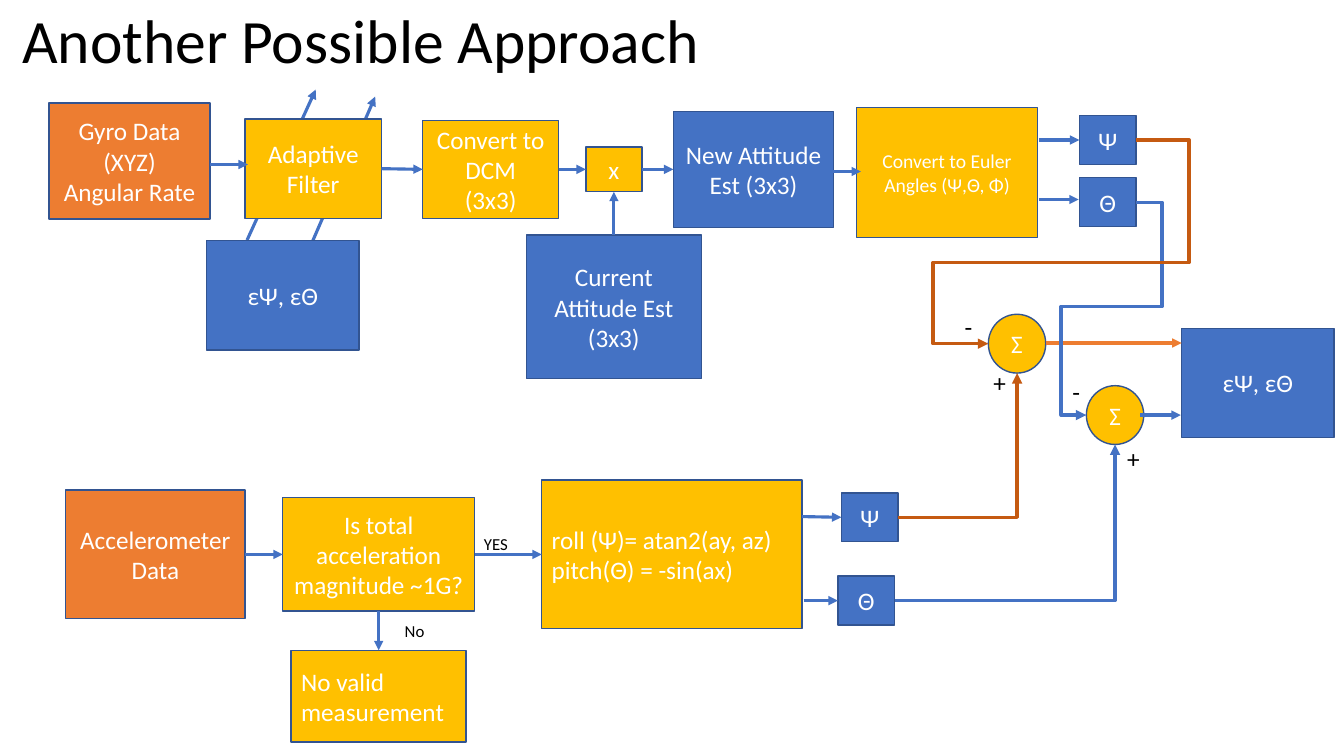
import pptx
import pptx.dml.color
import pptx.enum.shapes
import pptx.enum.text
import pptx.oxml.ns
import pptx.shapes.autoshape
import pptx.util

Pt = pptx.util.Pt
qn = pptx.oxml.ns.qn
RECTANGLE = pptx.enum.shapes.MSO_SHAPE.RECTANGLE
OVAL = pptx.enum.shapes.MSO_SHAPE.OVAL
ALIGN = pptx.enum.text.PP_ALIGN
TOP, LEFT, BOTTOM, RIGHT = range(4)
COLOURS = {
    "blue": "4472C4", "gold": "FFC000", "orange": "ED7D31", "rust": "C55A11",
    "outline": "325491", "white": "FFFFFF", "black": "000000",
}


def rgb(name):
    return pptx.dml.color.RGBColor.from_string(COLOURS[name])


class Diagram:
    FONT = "Calibri"

    def __init__(self, slide):
        self.slide = slide

    def set_text(self, frame, text, size, colour, align):
        frame.word_wrap = True
        frame.text = text
        for paragraph in frame.paragraphs:
            paragraph.alignment = align
            paragraph.font.name = self.FONT
            paragraph.font.size = Pt(size)
            paragraph.font.color.rgb = rgb(colour)

    def title(self, text, left, top, width, height):
        title = self.slide.shapes.title
        title.left, title.top, title.width, title.height = map(Pt, (left, top, width, height))
        self.set_text(title.text_frame, text, 44, "black", ALIGN.LEFT)
        title.text_frame.auto_size = pptx.enum.text.MSO_AUTO_SIZE.NONE
        title.text_frame.vertical_anchor = pptx.enum.text.MSO_ANCHOR.MIDDLE
        title.text_frame.paragraphs[0].line_spacing = 0.9

    def box(self, text, fill, left, top, width, height, size=18, align=ALIGN.CENTER, kind=RECTANGLE):
        box = self.slide.shapes.add_shape(kind, Pt(left), Pt(top), Pt(width), Pt(height))
        box.shadow.inherit = False
        box.fill.solid()
        box.fill.fore_color.rgb = rgb(fill)
        box.line.color.rgb = rgb("outline")
        box.line.width = Pt(1)
        self.set_text(box.text_frame, text, size, "white", align)
        box.text_frame.vertical_anchor = pptx.enum.text.MSO_ANCHOR.MIDDLE
        return box

    def angle(self, symbol, left, top):
        return self.box(symbol, "blue", left, top, 40.5, 35)

    def error(self, left, top):
        return self.box("εΨ, εΘ", "blue", left, top, 109, 78)

    def summation(self, left, top):
        return self.box("Σ", "gold", left, top, 41, 42, kind=OVAL)

    def label(self, text, left, top, width=36, height=29, size=18):
        label = self.slide.shapes.add_textbox(Pt(left), Pt(top), Pt(width), Pt(height))
        self.set_text(label.text_frame, text, size, "black", ALIGN.LEFT)
        label.text_frame.auto_size = pptx.enum.text.MSO_AUTO_SIZE.SHAPE_TO_FIT_TEXT

    def locate(self, end):
        """Turn an (x, y) pair in points or a (box, side) pair into a position."""
        box, side = end
        if not isinstance(box, pptx.shapes.autoshape.Shape):
            return Pt(box), Pt(side)
        middle_x, middle_y = box.left + box.width // 2, box.top + box.height // 2
        return {
            TOP: (middle_x, box.top),
            LEFT: (box.left, middle_y),
            BOTTOM: (middle_x, box.top + box.height),
            RIGHT: (box.left + box.width, middle_y),
        }[side]

    def arrow(self, start, end, colour="blue", width=2.25, kind="STRAIGHT"):
        connector = self.slide.shapes.add_connector(
            pptx.enum.shapes.MSO_CONNECTOR[kind], *self.locate(start), *self.locate(end))
        for anchor, join in ((start, connector.begin_connect), (end, connector.end_connect)):
            if isinstance(anchor[0], pptx.shapes.autoshape.Shape):
                join(*anchor)
        connector.line.color.rgb = rgb(colour)
        connector.line.width = Pt(width)
        properties = connector._element.spPr
        line = properties.find(qn("a:ln"))
        line.append(line.makeelement(qn("a:tailEnd"), {"type": "triangle"}))
        properties.append(properties.makeelement(qn("a:effectLst"), {}))
        return connector

    def bent_arrow(self, start, end, colour, via=None):
        """Bend once, or detour through via: first x, crossing y, second x."""
        connector = self.arrow(start, end, colour, 2.5, "ELBOW")
        geometry = connector._element.spPr.find(qn("a:prstGeom"))
        geometry.set("prst", "bentConnector5" if via else "bentConnector2")
        if not via:
            return
        (x1, y1), (x2, y2) = self.locate(start), self.locate(end)
        guides = geometry.find(qn("a:avLst"))
        ranges = ((x1, x2), (y1, y2), (x1, x2))
        for number, (position, (first, last)) in enumerate(zip(via, ranges), 1):
            share = round((Pt(position) - first) / (last - first) * 100000)
            guides.append(guides.makeelement(
                qn("a:gd"), {"name": f"adj{number}", "fmla": f"val {share}"}))


def build():
    deck = pptx.Presentation()
    deck.slide_width, deck.slide_height = Pt(960), Pt(540)
    diagram = Diagram(deck.slides.add_slide(deck.slide_layouts[5]))
    diagram.title("Another Possible Approach", 8.6, -21, 828, 104.4)

    # Error feedback passing behind the adaptive filter
    diagram.arrow((223, 173), (268, 69))
    diagram.arrow((176.5, 171.5), (225.5, 64))
    diagram.error(147.5, 172)

    # Gyro chain
    diagram.box("Gyro Data (XYZ)\nAngular Rate", "orange", 35, 73.5, 115, 83)
    adaptive = diagram.box("Adaptive Filter", "gold", 175, 85, 97.5, 71)
    dcm = diagram.box("Convert to DCM\n(3x3)", "gold", 302, 86, 97, 70)
    product = diagram.box("x", "gold", 418.5, 105, 40, 32)
    new_attitude = diagram.box("New Attitude Est (3x3)", "blue", 481, 79.5, 114.5, 83)
    current_attitude = diagram.box("Current Attitude Est (3x3)", "blue", 376, 168, 125, 102.5)
    diagram.box("Convert to Euler Angles (Ψ,Θ, Φ)", "gold", 612, 77, 129, 92.5, size=14)
    gyro_roll = diagram.angle("Ψ", 771, 82.5)
    gyro_pitch = diagram.angle("Θ", 771, 127)

    # Accelerometer chain
    accelerometer = diagram.box("Accelerometer Data", "orange", 47, 350, 128, 92)
    check = diagram.box("Is total acceleration magnitude ~1G?", "gold", 202, 355.5, 137, 81)
    formulas = diagram.box("roll (Ψ)= atan2(ay, az)\npitch(Θ) = -sin(ax)", "gold",
                           387, 343, 186, 106, align=ALIGN.LEFT)
    invalid = diagram.box("No valid measurement", "gold", 208, 464.5, 125, 65.5, align=ALIGN.LEFT)
    accel_roll = diagram.angle("Ψ", 601, 352)
    accel_pitch = diagram.angle("Θ", 598.5, 411.5)

    # Comparison of both estimates
    diagram.summation(706, 224.5)
    diagram.summation(776, 275.5)
    diagram.error(844, 234.5)

    for start, end in (
        ((150, 117.5), (177, 117.5)),
        ((adaptive, RIGHT), (dcm, LEFT)),
        ((dcm, RIGHT), (product, LEFT)),
        ((product, RIGHT), (new_attitude, LEFT)),
        ((current_attitude, TOP), (product, BOTTOM)),
        ((592.5, 122.5), (615, 122.5)),
        ((742, 100), (gyro_roll, LEFT)),
        ((742, 142.5), (770.5, 142.5)),
        ((accelerometer, RIGHT), (check, LEFT)),
        ((check, RIGHT), (formulas, LEFT)),
        ((check, BOTTOM), (invalid, TOP)),
        ((573, 369), (accel_roll, LEFT)),
        ((574, 429), (accel_pitch, LEFT)),
        ((814.5, 296.5), (843.5, 296.5)),
    ):
        diagram.arrow(start, end)
    diagram.arrow((747, 245), (844, 245), "orange")

    diagram.bent_arrow((gyro_pitch, RIGHT), (776, 296.5), "blue", via=(830, 219, 758))
    diagram.bent_arrow((gyro_roll, RIGHT), (706, 245.5), "rust", via=(849.5, 187.5, 666.5))
    diagram.bent_arrow((accel_pitch, RIGHT), (796.5, 317.5), "blue")
    diagram.bent_arrow((accel_roll, RIGHT), (726.5, 266.5), "rust")

    for answer, left, top in (("YES", 338.5, 378), ("No", 282, 440)):
        diagram.label(answer, left, top, 37.5, 21.8, 12)
    for sign, left, top in (("+", 798, 313), ("-", 759, 265.5), ("+", 702.5, 258.5), ("-", 682, 219)):
        diagram.label(sign, left, top)

    deck.save("out.pptx")


if __name__ == "__main__":
    build()
